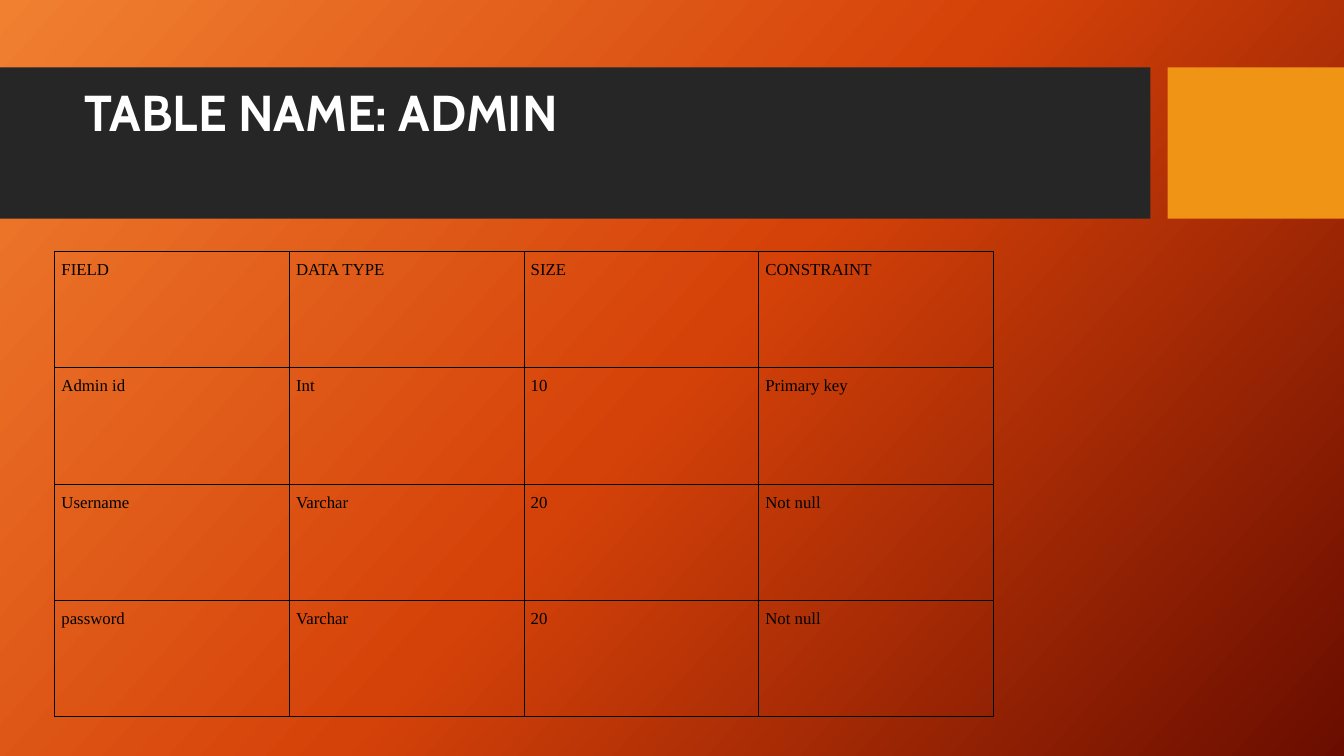
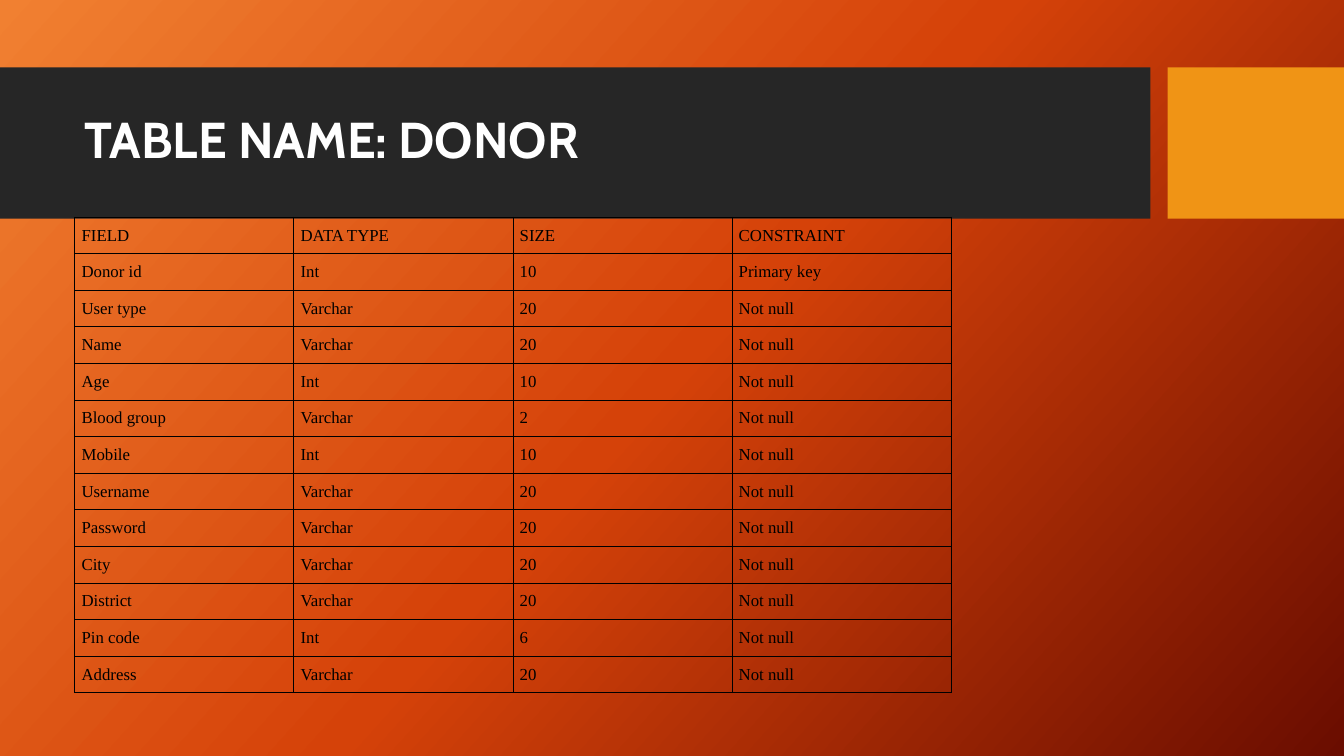
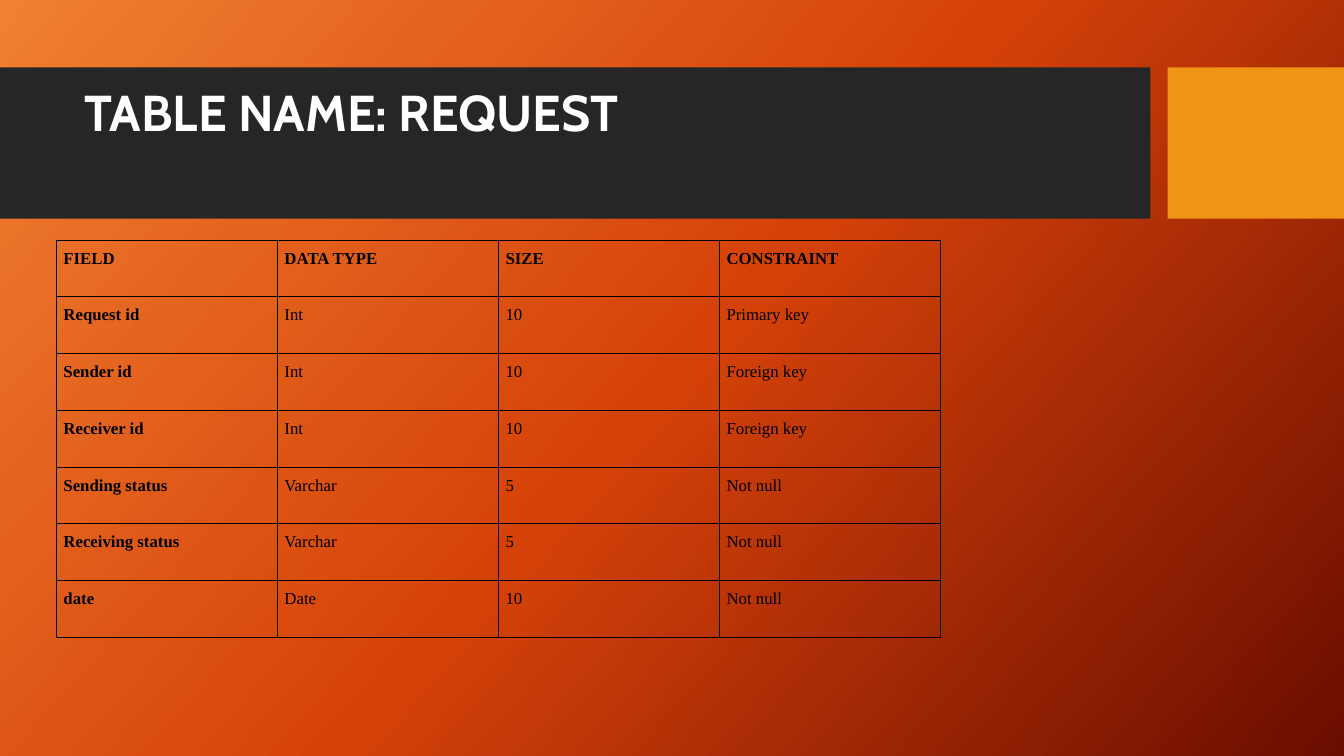
from copy import deepcopy
from dataclasses import dataclass
from lxml.etree import SubElement
from pptx import Presentation
from pptx.dml.color import RGBColor
from pptx.enum.shapes import MSO_SHAPE
from pptx.enum.text import MSO_ANCHOR, PP_ALIGN
from pptx.oxml.ns import qn
from pptx.util import Inches, Pt


@dataclass(frozen=True)
class Theme:
    glow: tuple = ((0, "F18031"), (0.5, "D54209"), (1, "6A0D00"))
    tilt: int = 318
    dark: str = "262626"
    amber: str = "F09415"
    white: str = "FFFFFF"
    ink: str = "000000"
    head: str = "Cabin"
    body: str = "Times New Roman"
    large: int = 36
    small: int = 12
    rule: float = 0.25


theme = Theme()
deck = Presentation()
deck.slide_width, deck.slide_height = Inches(13.33), Inches(7.5)


def place(left, top, width, height):
    """Turn percentages of the slide's size into lengths."""
    wide, high = deck.slide_width / 100, deck.slide_height / 100
    return int(left * wide), int(top * high), int(width * wide), int(height * high)


def write(para, text, face, size, color, bold):
    run = para.add_run()
    run.text = text
    run.font.name, run.font.size, run.font.bold = face, Pt(size), bold
    run.font.color.rgb = RGBColor.from_string(color)


header = ("FIELD", "DATA TYPE", "SIZE", "CONSTRAINT")
pages = [
    dict(title="TABLE NAME: ADMIN", anchor=MSO_ANCHOR.TOP, bold=False,
         area=(4.05, 33.2, 69.84, 61.6), rows=[
             ("Admin id", "Int", "10", "Primary key"),
             ("Username", "Varchar", "20", "Not null"),
             ("password", "Varchar", "20", "Not null")]),
    dict(title="TABLE NAME: DONOR", anchor=MSO_ANCHOR.MIDDLE, bold=False,
         area=(5.55, 28.67, 65.19, 62.93), rows=[
             ("Donor id", "Int", "10", "Primary key"),
             ("User type", "Varchar", "20", "Not null"),
             ("Name", "Varchar", "20", "Not null"),
             ("Age", "Int", "10", "Not null"),
             ("Blood group", "Varchar", "2", "Not null"),
             ("Mobile", "Int", "10", "Not null"),
             ("Username", "Varchar", "20", "Not null"),
             ("Password", "Varchar", "20", "Not null"),
             ("City", "Varchar", "20", "Not null"),
             ("District", "Varchar", "20", "Not null"),
             ("Pin code", "Int", "6", "Not null"),
             ("Address", "Varchar", "20", "Not null")]),
    dict(title="TABLE NAME: REQUEST", anchor=MSO_ANCHOR.TOP, bold=True,
         area=(4.2, 31.73, 65.79, 52.53), rows=[
             ("Request id", "Int", "10", "Primary key"),
             ("Sender id", "Int", "10", "Foreign key"),
             ("Receiver id", "Int", "10", "Foreign key"),
             ("Sending status", "Varchar", "5", "Not null"),
             ("Receiving status", "Varchar", "5", "Not null"),
             ("date", "Date", "10", "Not null")]),
]

# Shared layout: gradient, title place and bands
layout = deck.slide_layouts[5]
fill = layout.background.fill
fill.gradient()
fill.gradient_angle = theme.tilt
start = fill.gradient_stops[0]._gs
start.addnext(deepcopy(start))
for stop, (pos, color) in zip(fill.gradient_stops, theme.glow):
    stop.position = pos
    stop.color.rgb = RGBColor.from_string(color)

tree = layout.shapes._spTree
for holder in list(layout.placeholders):
    if holder.placeholder_format.idx:
        tree.remove(holder._element)
    else:
        holder.left, holder.top, holder.width, holder.height = place(5.55, 10.93, 78.84, 15.73)

slides = [deck.slides.add_slide(layout) for page in pages]
for left, width, color in ((0, 85.6, theme.dark), (86.87, 13.13, theme.amber)):
    band = slides[0].shapes.add_shape(MSO_SHAPE.RECTANGLE, *place(left, 8.93, width, 20))
    band.shadow.inherit = False
    band.fill.solid()
    band.fill.fore_color.rgb = RGBColor.from_string(color)
    band.line.fill.background()
    tree.insert(2, band._element)

# Title and table of each slide
for slide, page in zip(slides, pages):
    frame = slide.shapes.title.text_frame
    frame.word_wrap = True
    frame.vertical_anchor = page["anchor"]
    para = frame.paragraphs[0]
    para.alignment, para.line_spacing = PP_ALIGN.LEFT, 0.9
    write(para, page["title"], theme.head, theme.large, theme.white, True)

    rows = [header, *page["rows"]]
    area = place(*page["area"])
    grid = slide.shapes.add_table(len(rows), len(header), *area).table
    grid.first_row = grid.horz_banding = False
    for col in grid.columns:
        col.width = area[2] // len(header)
    for row in grid.rows:
        row.height = area[3] // len(rows)
    for r, row in enumerate(rows):
        for c, text in enumerate(row):
            cell = grid.cell(r, c)
            cell.margin_left = cell.margin_right = Inches(0.07)
            cell.margin_top = cell.margin_bottom = 0
            props = cell._tc.get_or_add_tcPr()
            for side in ("lnL", "lnR", "lnT", "lnB"):
                line = SubElement(props, qn("a:" + side), w=str(Pt(theme.rule)))
                paint = SubElement(line, qn("a:solidFill"))
                SubElement(paint, qn("a:srgbClr"), val=theme.ink)
            cell.fill.background()
            para = cell.text_frame.paragraphs[0]
            para.line_spacing = 1.5
            strong = page["bold"] and (r == 0 or c == 0)
            write(para, text, theme.body, theme.small, theme.ink, strong)

deck.save("out.pptx")
